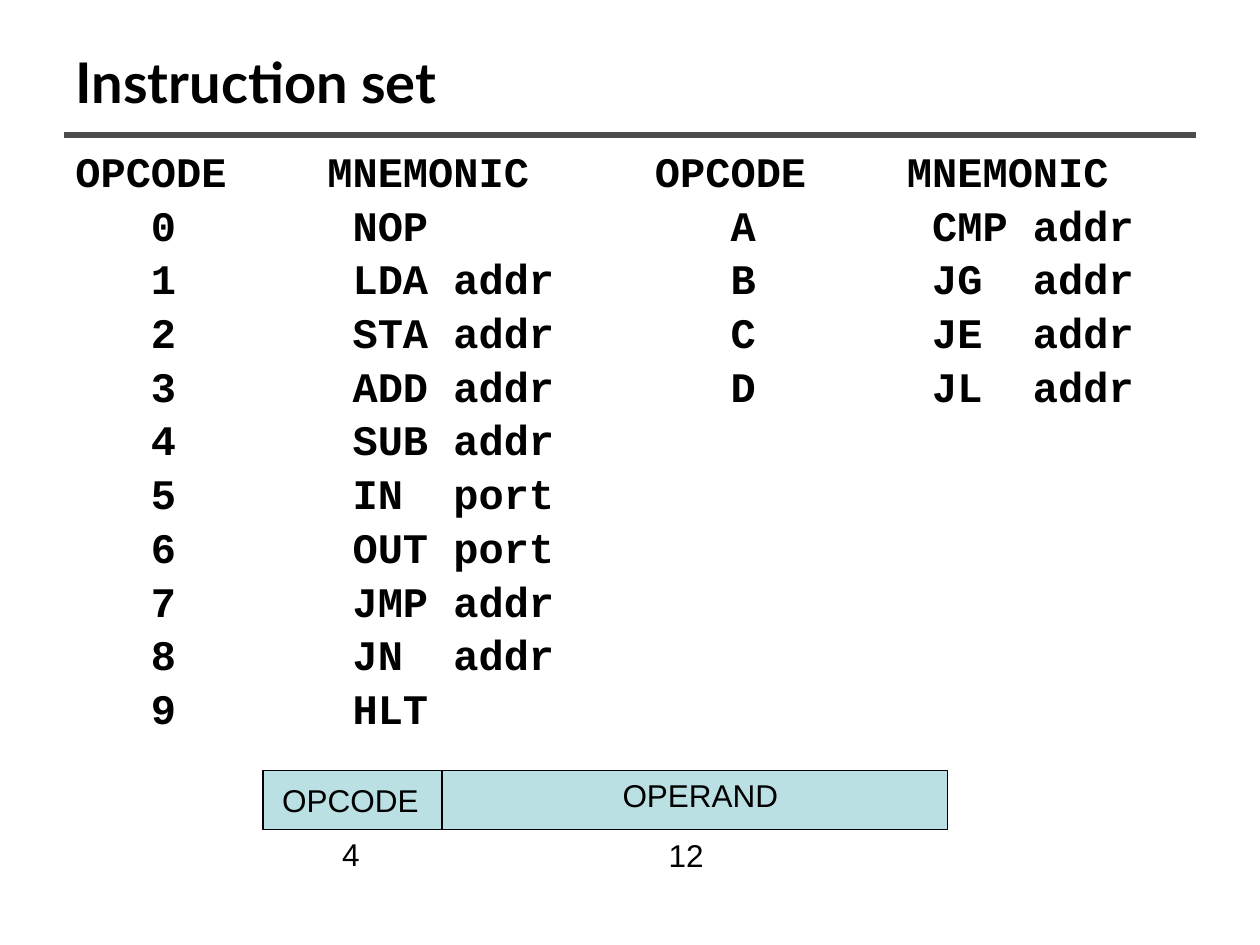
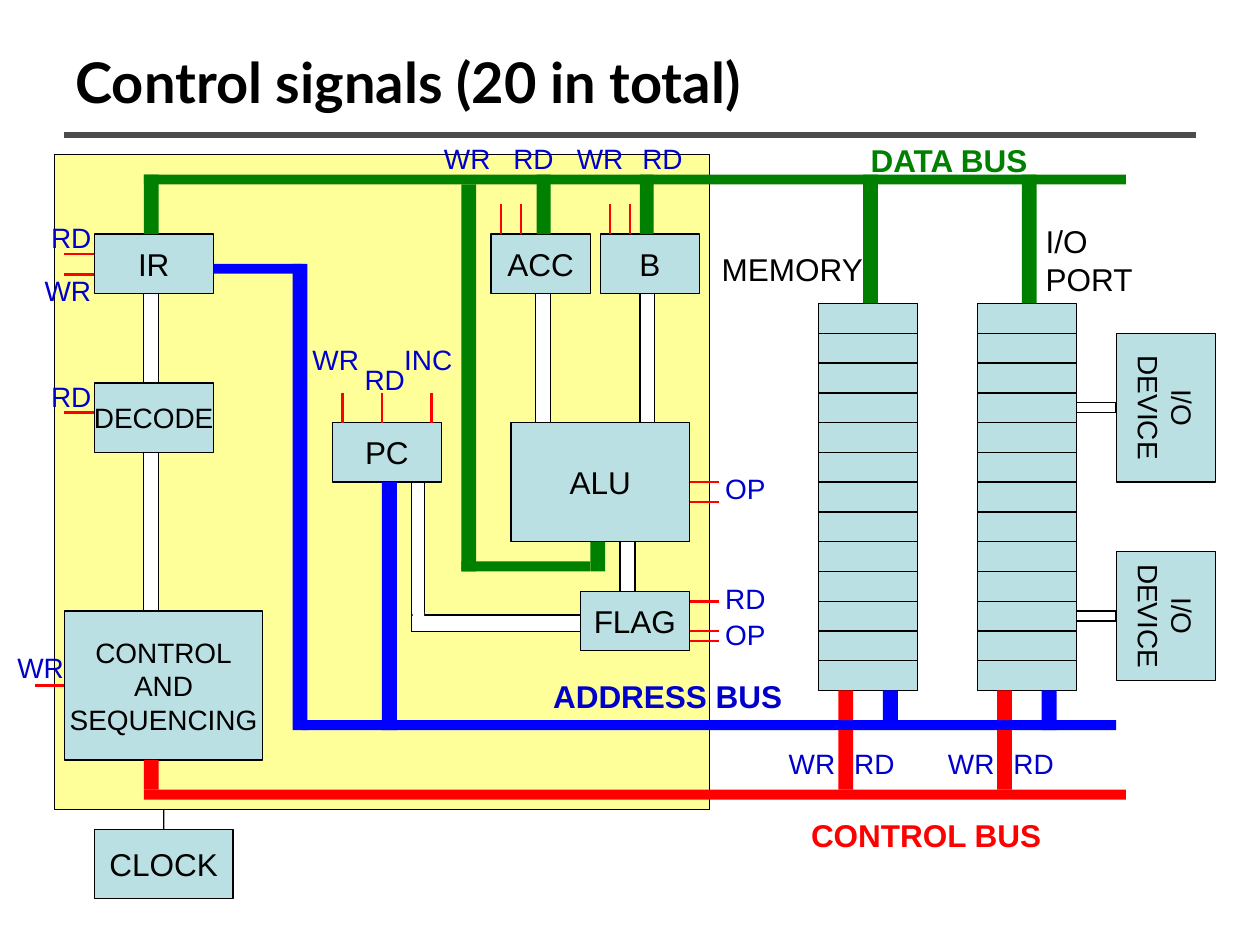
from itertools import zip_longest

from lxml.etree import SubElement
from pptx import Presentation
from pptx.dml.color import RGBColor
from pptx.enum.shapes import MSO_CONNECTOR as Connector, MSO_SHAPE as Shape
from pptx.enum.text import MSO_ANCHOR as Anchor, PP_ALIGN as Align
from pptx.oxml.ns import qn
from pptx.util import Cm, Pt

COLORS = {
    "black": "000000",
    "white": "FFFFFF",
    "rule": "4D4D4D",
    "block": "BBE0E3",
    "cpu": "FFFF99",
    "data": "008000",
    "address": "0000FF",
    "control": "FF0000",
    "signal": "0000CC",
}
TITLE = {"name": "Lato", "size": Pt(32), "bold": True}
CODE = {"name": "Courier New", "size": Pt(24), "bold": True}
BODY = {"name": "Arial", "size": Pt(18), "bold": False}
SMALL = {**BODY, "size": Pt(16)}
BUS_NAME = {**BODY, "bold": True}

CHAR = 0.508  # width of one code character in cm
HEADER_TABS = (10, 23, 33)
ROW_TABS = (3, 11, 15, 26, 34, 38)
LOW_OPCODES = ["NOP", "LDA addr", "STA addr", "ADD addr", "SUB addr",
               "IN port", "OUT port", "JMP addr", "JN addr", "HLT"]
HIGH_OPCODES = ["CMP addr", "JG addr", "JE addr", "JL addr"]

SIGNAL_WIDTHS = {"WR": 1.45, "RD": 1.32, "OP": 1.32, "INC": 1.47}
CELL_COUNT, CELL_HEIGHT = 13, 0.6
MEMORY_LEFT, PORT_LEFT = 16.5, 19.7
BUS_WIDTH = 0.3
PIN = 0.6


def rgb(color):
    return RGBColor.from_string(COLORS[color])


def format_text(frame, style, color="black", align=Align.LEFT):
    for paragraph in frame.paragraphs:
        paragraph.alignment = align
        for run in paragraph.runs:
            for name, value in style.items():
                setattr(run.font, name, value)
            run.font.color.rgb = rgb(color)


def add_label(shapes, text, left, top, width, style=BODY, color="black",
              height=1.02, anchor=Anchor.TOP):
    frame = shapes.add_textbox(Cm(left), Cm(top), Cm(width), Cm(height)).text_frame
    frame.text = text
    frame.word_wrap = False
    frame.vertical_anchor = anchor
    format_text(frame, style, color)


def add_box(shapes, left, top, width, height, fill="block", outlined=True):
    box = shapes.add_shape(Shape.RECTANGLE, Cm(left), Cm(top), Cm(width), Cm(height))
    box.shadow.inherit = False
    if fill:
        box.fill.solid()
        box.fill.fore_color.rgb = rgb(fill)
    else:
        box.fill.background()
    if outlined:
        box.line.color.rgb = rgb("black")
        box.line.width = Pt(0.75)
    else:
        box.line.fill.background()
    return box


def add_block(shapes, text, left, top, width, height, style=BODY):
    block = add_box(shapes, left, top, width, height)
    frame = block.text_frame
    frame.text = text
    frame.word_wrap = False
    frame.vertical_anchor = Anchor.MIDDLE
    format_text(frame, style, align=Align.CENTER)
    return block


def add_line(shapes, x1, y1, x2, y2, color="black", width=0.75):
    line = shapes.add_connector(Connector.STRAIGHT, Cm(x1), Cm(y1), Cm(x2), Cm(y2))
    line.line.color.rgb = rgb(color)
    line.line.width = Pt(width)
    SubElement(line._element.spPr, qn("a:effectLst"))
    return line


def add_pin(shapes, x, y, dx=0, dy=0):
    """Draw a short control-signal line outwards from a block's edge."""
    return add_line(shapes, x, y, x + dx, y + dy, "control", 1.5)


def add_buses(shapes, color, segments):
    for segment in segments:
        add_box(shapes, *segment, fill=color, outlined=False)


def add_cells(shapes, left, top=6.12, width=2):
    """Draw a column of equal storage cells as one group."""
    cells = shapes.add_group_shape().shapes
    add_box(cells, left, top, width, CELL_COUNT * CELL_HEIGHT)
    for row in range(1, CELL_COUNT):
        y = top + row * CELL_HEIGHT
        add_line(cells, left, y, left + width, y)


def add_titled_slide(deck, title):
    shapes = deck.slides.add_slide(deck.slide_layouts[6]).shapes
    add_line(shapes, 1.3, 2.72, 24.1, 2.72, "rule", 3)
    add_label(shapes, title, 1.27, 0.76, 22.86, TITLE, height=1.75, anchor=Anchor.MIDDLE)
    return shapes


def opcode_cells(code, instruction):
    mnemonic, _, operand = instruction.partition(" ")
    return [f"{code:X}", mnemonic, operand]


def instruction_lines():
    first_high = len(LOW_OPCODES)
    for code, (low, high) in enumerate(zip_longest(LOW_OPCODES, HIGH_OPCODES)):
        cells = opcode_cells(code, low)
        if high:
            cells += opcode_cells(first_high + code, high)
        yield "\t" + "\t".join(cells).rstrip()


def set_tabs(paragraph, columns):
    """Put left tab stops at the given character columns."""
    tabs = SubElement(paragraph._p.get_or_add_pPr(), qn("a:tabLst"))
    for column in columns:
        SubElement(tabs, qn("a:tab"), pos=str(Cm(column * CHAR)), algn="l")


def add_instruction_list(shapes):
    frame = shapes.add_textbox(Cm(1.27), Cm(2.92), Cm(22.86), Cm(12.4)).text_frame
    frame.word_wrap = True
    lines = ["OPCODE\tMNEMONIC\tOPCODE\tMNEMONIC", *instruction_lines()]
    for number, line in enumerate(lines):
        paragraph = frame.add_paragraph() if number else frame.paragraphs[0]
        paragraph.add_run().text = line
        set_tabs(paragraph, ROW_TABS if number else HEADER_TABS)
        paragraph.line_spacing = 0.9
        if number:
            paragraph.space_before = Pt(4.8)
    format_text(frame, CODE)


def build_instruction_set(deck):
    shapes = add_titled_slide(deck, "Instruction set")
    add_instruction_list(shapes)
    add_box(shapes, 5.3, 15.53, 13.8, 1.2)
    add_line(shapes, 8.91, 15.53, 8.91, 16.73)
    for text, left, top, width in [
        ("OPCODE", 5.44, 15.63, 3.4), ("OPERAND", 12.3, 15.52, 3.66),
        ("4", 6.65, 16.71, 0.86), ("12", 13.23, 16.73, 1.22),
    ]:
        add_label(shapes, text, left, top, width)


def add_processor(shapes):
    add_box(shapes, 1.1, 3.12, 13.2, 13.2, "cpu")
    for text, *frame in [
        ("IR", 1.9, 4.72, 2.4, 1.2), ("PC", 6.7, 8.52, 2.2, 1.2),
        ("ACC", 9.9, 4.72, 2, 1.2), ("B", 12.1, 4.72, 2, 1.2),
        ("FLAG", 11.7, 11.92, 2.2, 1.2),
    ]:
        add_block(shapes, text, *frame)
    add_block(shapes, "DECODE", 1.9, 7.72, 2.4, 1.4, SMALL)
    alu = add_block(shapes, "ALU", 10.3, 8.52, 3.6, 2.4)
    sequencer = add_block(shapes, "CONTROL\nAND\nSEQUENCING", 1.3, 12.32, 4, 3, SMALL)
    clock = add_block(shapes, "CLOCK", 1.9, 16.72, 2.8, 1.4)
    add_line(shapes, 3.3, 16.72, 3.3, 16.32).begin_connect(clock, 0)
    return alu, sequencer


def add_peripherals(shapes):
    for left in (MEMORY_LEFT, PORT_LEFT):
        add_cells(shapes, left)
    for left, top, width in [(22, 7.22, 3), (22.2, 11.42, 2.6)]:
        add_block(shapes, "I/O\nDEVICE", left, top, width, 2, SMALL).rotation = 90
    for top in (8.12, 12.32):
        add_box(shapes, 21.7, top, 0.8, 0.2, fill=None)


def add_all_buses(shapes):
    add_buses(shapes, "data", [
        (2.9, 3.52, 19.8, 0.2), (2.9, 3.52, BUS_WIDTH, 1.2),
        (10.82, 3.52, 0.28, 1.2), (12.9, 3.52, 0.28, 1.2),
        (11.9, 10.92, BUS_WIDTH, 0.6), (9.3, 3.72, BUS_WIDTH, 7.8),
        (9.3, 11.32, 2.6, 0.2),
    ])
    add_buses(shapes, "address", [
        (7.7, 9.72, BUS_WIDTH, 5), (6.1, 14.52, 16.4, 0.2),
        (5.9, 5.32, BUS_WIDTH, 9.4), (4.3, 5.32, 1.8, 0.2),
        (MEMORY_LEFT + 1.3, 13.92, BUS_WIDTH, 0.6),
        (PORT_LEFT + 1.3, 13.92, BUS_WIDTH, 0.8),
    ])
    add_buses(shapes, "control", [
        (2.9, 15.92, 19.8, 0.2), (2.9, 15.32, BUS_WIDTH, 0.6),
    ])
    for left in (MEMORY_LEFT, PORT_LEFT):
        add_buses(shapes, "data", [(left + 0.9, 3.52, BUS_WIDTH, 2.6)])
        add_buses(shapes, "control", [
            (left + 0.4, 13.92, BUS_WIDTH, 0.6), (left + 0.4, 14.72, BUS_WIDTH, 1.2),
        ])


def add_internal_links(shapes):
    for left, top, height in [(10.8, 5.92, 2.6), (12.9, 5.92, 2.6), (2.9, 5.92, 1.8),
                              (2.9, 9.12, 3.2), (12.5, 10.92, 1)]:
        add_box(shapes, left, top, BUS_WIDTH, height, "white")
    pc_to_flag = shapes.add_group_shape().shapes
    add_box(pc_to_flag, 8.3, 9.72, 0.26, 3, "white")
    add_box(pc_to_flag, 8.3, 12.4, 3.4, 0.33, "white")
    add_box(pc_to_flag, 8.32, 12.34, 0.23, 0.2, "white", outlined=False)


def add_pins(shapes, alu, sequencer):
    for x in (10.1, 10.5, 12.3, 12.7):
        add_pin(shapes, x, 4.72, dy=-PIN)
    for x in (6.9, 7.7, 8.7):
        add_pin(shapes, x, 8.52, dy=-PIN)
    for y in (5.12, 5.53, 8.32):
        add_pin(shapes, 1.9, y, dx=-PIN)
    for y in (10.12, 12.12, 12.72, 12.92):
        add_pin(shapes, 13.9, y, dx=PIN)
    add_pin(shapes, 13.9, 9.72, dx=PIN).begin_connect(alu, 3)
    add_pin(shapes, 1.3, 13.82, dx=-PIN).begin_connect(sequencer, 1)


def add_names(shapes):
    add_label(shapes, "DATA BUS", 17.3, 2.72, 3.78, BUS_NAME, "data")
    add_label(shapes, "CONTROL BUS", 16.1, 16.33, 5.16, BUS_NAME, "control")
    add_label(shapes, "ADDRESS BUS", 10.9, 13.53, 5.13, BUS_NAME, "signal")
    add_label(shapes, "MEMORY", 14.3, 4.92, 3.38)
    add_label(shapes, "I/O\nPORT", 20.83, 4.35, 2.29, height=1.78)
    for signal, left, top in [
        ("RD", 0.78, 4.32), ("WR", 0.65, 5.38), ("RD", 0.78, 7.52), ("WR", 0.1, 12.98),
        ("WR", 8.7, 2.72), ("RD", 10.1, 2.72), ("WR", 11.38, 2.72), ("RD", 12.7, 2.72),
        ("WR", 6.05, 6.79), ("RD", 7.1, 7.19), ("INC", 7.9, 6.79),
        ("OP", 14.37, 9.39), ("RD", 14.37, 11.59), ("OP", 14.37, 12.32),
        ("WR", 15.65, 14.93), ("RD", 16.97, 14.93),
        ("WR", 18.86, 14.93), ("RD", 20.18, 14.93),
    ]:
        add_label(shapes, signal, left, top, SIGNAL_WIDTHS[signal], SMALL, "signal", 0.94)


def build_control_signals(deck):
    shapes = add_titled_slide(deck, "Control signals (20 in total)")
    alu, sequencer = add_processor(shapes)
    add_peripherals(shapes)
    add_all_buses(shapes)
    add_internal_links(shapes)
    add_pins(shapes, alu, sequencer)
    add_names(shapes)


def main():
    deck = Presentation()
    deck.slide_width, deck.slide_height = Cm(25.4), Cm(19.05)
    build_instruction_set(deck)
    build_control_signals(deck)
    deck.save("out.pptx")


if __name__ == "__main__":
    main()
